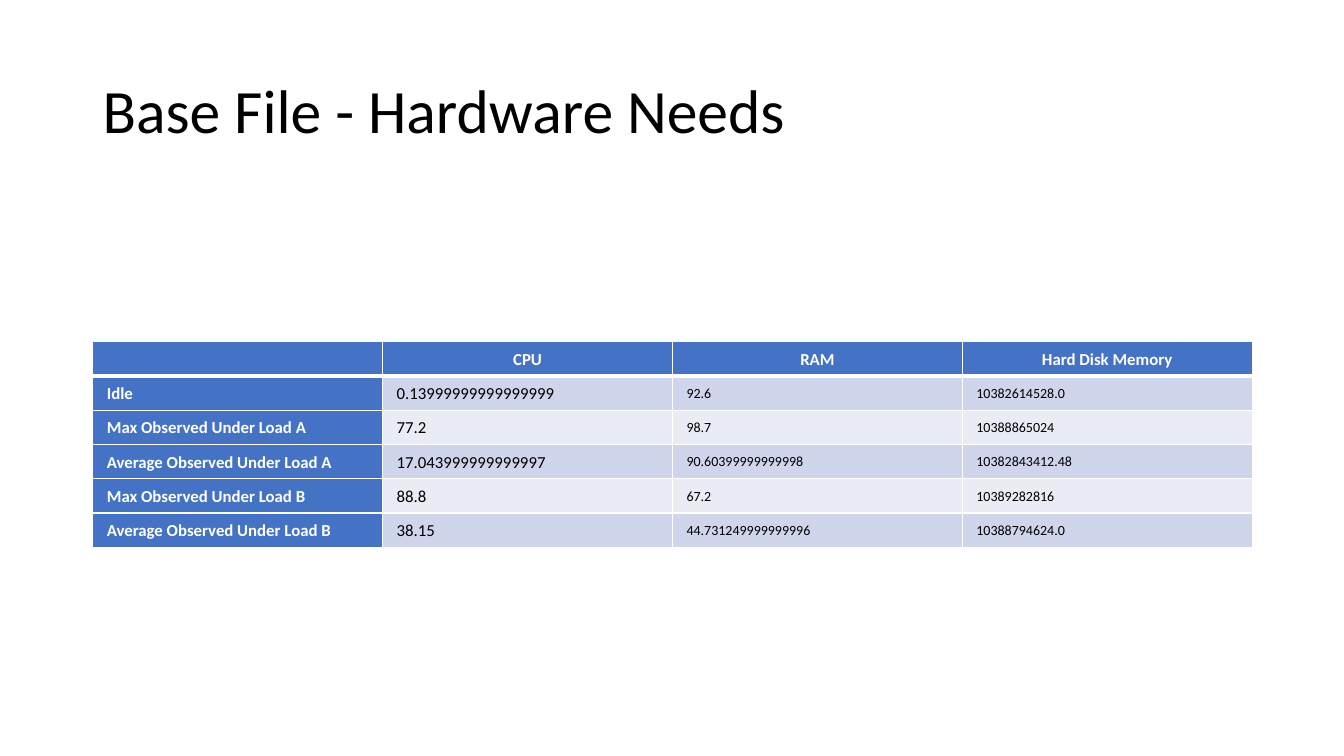
from dataclasses import dataclass

from lxml import etree
from pptx import Presentation
from pptx.dml.color import RGBColor
from pptx.enum.text import MSO_ANCHOR, PP_ALIGN
from pptx.oxml.ns import qn
from pptx.util import Inches, Pt

MIDDLE = MSO_ANCHOR.MIDDLE
LEFT, CENTER = PP_ALIGN.LEFT, PP_ALIGN.CENTER

FONT = "Calibri"
BLACK, WHITE, BLUE = "000000", "FFFFFF", "4472C4"
BANDS = ("CFD5EA", "E9EBF5")

PAGE_WIDTH, PAGE_HEIGHT = 13.33, 7.5
MARGIN = 0.92
CONTENT_WIDTH = 11.5
TITLE_TOP, TITLE_HEIGHT = 0.4, 1.45
TABLE_TOP, ROW_HEIGHT = 3.39, 0.34
THIN, THICK = 1, 3

ROWS = (
    ("", "CPU", "RAM", "Hard Disk Memory"),
    ("Idle", "0.13999999999999999", "92.6", "10382614528.0"),
    ("Max Observed Under Load A", "77.2", "98.7", "10388865024"),
    ("Average Observed Under Load A", "17.043999999999997", "90.60399999999998", "10382843412.48"),
    ("Max Observed Under Load B", "88.8", "67.2", "10389282816"),
    ("Average Observed Under Load B", "38.15", "44.731249999999996", "10388794624.0"),
)


@dataclass(frozen=True)
class TextStyle:
    size: float
    color: str = BLACK
    bold: bool = False
    align: PP_ALIGN = LEFT
    line_spacing: float = 1.07
    space_after: float = 12


TITLE = TextStyle(44, line_spacing=0.9, space_after=0)
COLUMN_HEAD = TextStyle(12, WHITE, True, CENTER)
ROW_HEAD = TextStyle(12, WHITE, True)
CPU_VALUE = TextStyle(12)
OTHER_VALUE = TextStyle(10)


def rgb(color: str) -> RGBColor:
    return RGBColor.from_string(color)


def write(para, text: str, style: TextStyle) -> None:
    para.text = text
    para.alignment = style.align
    para.line_spacing = style.line_spacing
    para.space_after = Pt(style.space_after)
    for span in para.runs:
        span.font.name = FONT
        span.font.size = Pt(style.size)
        span.font.bold = style.bold
        span.font.color.rgb = rgb(style.color)
    if not text:
        etree.SubElement(para._p, qn("a:endParaRPr"), sz=str(style.size * 100))


def add_border(cell, side: str, width: float) -> None:
    line = etree.SubElement(cell._tc.get_or_add_tcPr(), qn(f"a:ln{side}"), w=str(Pt(width)))
    fill = etree.SubElement(line, qn("a:solidFill"))
    etree.SubElement(fill, qn("a:srgbClr"), val=WHITE)


def cell_style(row: int, column: int) -> TextStyle:
    if row == 0:
        return COLUMN_HEAD
    return (ROW_HEAD, CPU_VALUE, OTHER_VALUE, OTHER_VALUE)[column]


def fill_cell(cell, row: int, column: int) -> None:
    cell.vertical_anchor = MIDDLE
    cell.margin_left = cell.margin_right = Inches(0.14)
    cell.margin_top = cell.margin_bottom = Inches(0.06)
    widths = {"L": THIN, "R": THIN, "T": THICK if row == 1 else THIN, "B": THICK if row == 0 else THIN}
    for side, width in widths.items():
        add_border(cell, side, width)
    cell.fill.solid()
    is_head = row == 0 or column == 0
    cell.fill.fore_color.rgb = rgb(BLUE if is_head else BANDS[(row - 1) % 2])
    write(cell.text_frame.paragraphs[0], ROWS[row][column], cell_style(row, column))


def add_title(page, text: str) -> None:
    box = page.shapes.add_textbox(
        Inches(MARGIN), Inches(TITLE_TOP), Inches(CONTENT_WIDTH), Inches(TITLE_HEIGHT))
    box.text_frame.word_wrap = True
    box.text_frame.vertical_anchor = MIDDLE
    write(box.text_frame.paragraphs[0], text, TITLE)


def add_hardware_table(page) -> None:
    row_count, column_count = len(ROWS), len(ROWS[0])
    table = page.shapes.add_table(
        row_count, column_count, Inches(MARGIN), Inches(TABLE_TOP),
        Inches(CONTENT_WIDTH), Inches(ROW_HEIGHT * row_count)).table
    for row in range(row_count):
        for column in range(column_count):
            fill_cell(table.cell(row, column), row, column)


def main() -> None:
    """Build the hardware needs slide and save it."""
    deck = Presentation()
    deck.slide_width, deck.slide_height = Inches(PAGE_WIDTH), Inches(PAGE_HEIGHT)
    page = deck.slides.add_slide(deck.slide_layouts[6])
    add_title(page, "Base File - Hardware Needs")
    add_hardware_table(page)
    deck.save("out.pptx")


if __name__ == "__main__":
    main()
